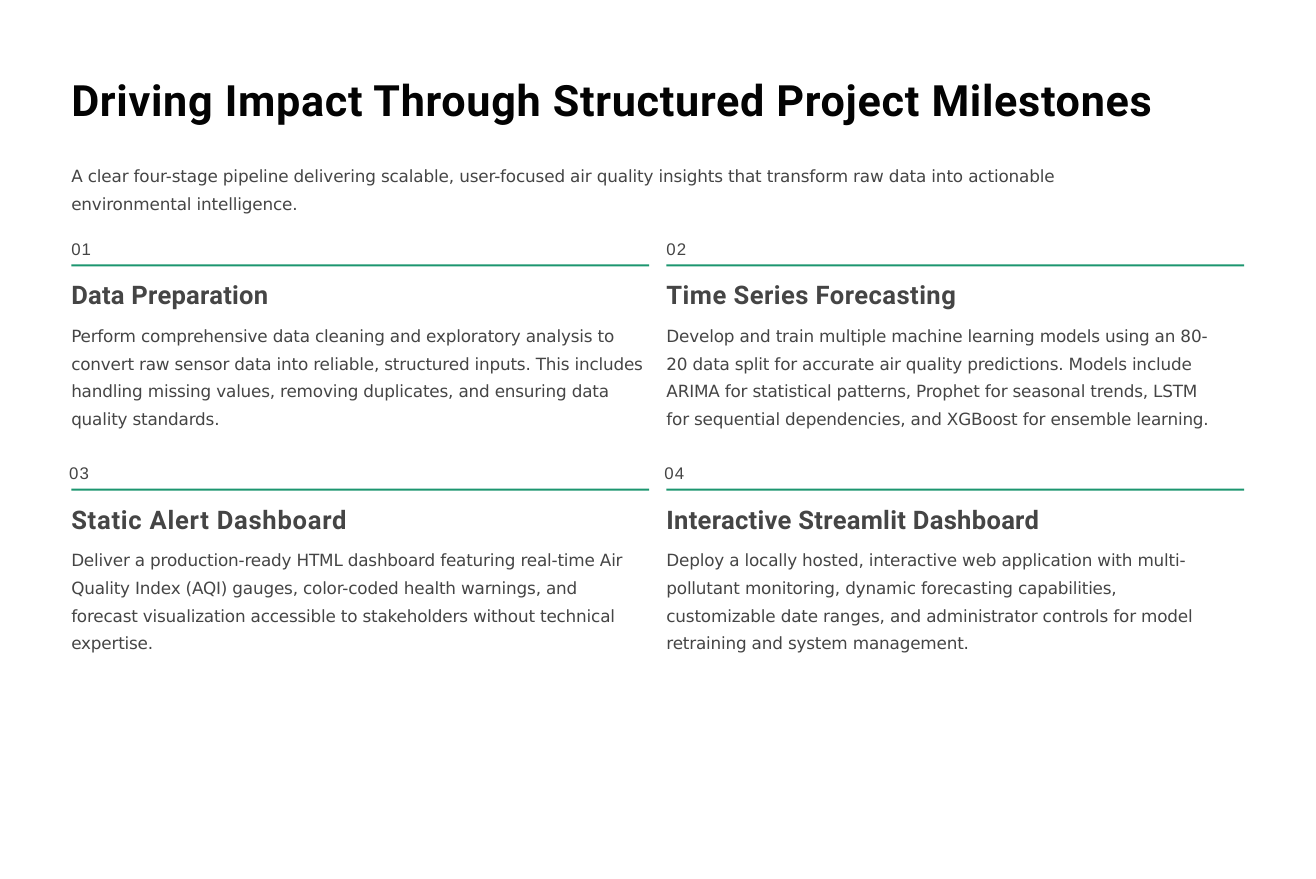
from pptx import Presentation
from pptx.dml.color import RGBColor
from pptx.enum.shapes import MSO_SHAPE
from pptx.util import Cm, Pt

INK, TEXT, GREEN = "030303", "454545", "1C966F"
LEFT, COLUMN_PITCH = 1.72, 14.36
FIRST_RULE, ROW_PITCH, RULE_WIDTH = 6.38, 5.41, 13.94


def color(hex_value):
    return RGBColor.from_string(hex_value)


def add_text(left, top, width, height, paragraphs):
    """Each paragraph: text, font, size, colour, bold, tracking, line spacing, space before."""
    frame = slide.shapes.add_textbox(Cm(left), Cm(top), Cm(width), Cm(height)).text_frame
    frame.word_wrap = True
    frame.margin_left = frame.margin_right = frame.margin_top = frame.margin_bottom = 0
    for i, (text, font, size, ink, bold, tracking, spacing, before) in enumerate(paragraphs):
        paragraph = frame.add_paragraph() if i else frame.paragraphs[0]
        paragraph.text = text
        paragraph.line_spacing = spacing
        paragraph.space_before = Pt(before)
        run = paragraph.runs[0]
        run.font.name, run.font.size, run.font.bold = font, Pt(size), bold
        run.font.color.rgb = color(ink)
        run.font._element.set("spc", str(round(tracking * 100)))


deck = Presentation()
deck.slide_width, deck.slide_height = Cm(31.75), Cm(21.21)
slide = deck.slides.add_slide(deck.slide_layouts[6])

# Title and introduction
add_text(LEFT, 1.77, 27.2, 1.3, [
    ("Driving Impact Through Structured Project Milestones",
     "Roboto", 29.5, INK, True, 0.47, 1.0, 0)])
add_text(LEFT, 3.79, 26, 1.5, [
    ("A clear four-stage pipeline delivering scalable, user-focused air quality insights "
     "that transform raw data into actionable environmental intelligence.",
     "DejaVu Sans", 11.5, TEXT, False, -0.12, 1.41, 0)])

# Milestones: heading, heading tracking, text width, description
milestones = [
    ("Data Preparation", 0.18, 13.94,
     "Perform comprehensive data cleaning and exploratory analysis to convert raw sensor "
     "data into reliable, structured inputs. This includes handling missing values, "
     "removing duplicates, and ensuring data quality standards."),
    ("Time Series Forecasting", 0.3, 13.46,
     "Develop and train multiple machine learning models using an 80-20 data split for "
     "accurate air quality predictions. Models include ARIMA for statistical patterns, "
     "Prophet for seasonal trends, LSTM for sequential dependencies, and XGBoost for "
     "ensemble learning."),
    ("Static Alert Dashboard", 0.5, 13.46,
     "Deliver a production-ready HTML dashboard featuring real-time Air Quality Index (AQI) "
     "gauges, color-coded health warnings, and forecast visualization accessible to "
     "stakeholders without technical expertise."),
    ("Interactive Streamlit Dashboard", 0.2, 13.46,
     "Deploy a locally hosted, interactive web application with multi-pollutant monitoring, "
     "dynamic forecasting capabilities, customizable date ranges, and administrator "
     "controls for model retraining and system management."),
]
for index, (heading, tracking, text_width, description) in enumerate(milestones):
    row, column = divmod(index, 2)
    left = LEFT + column * COLUMN_PITCH
    rule_top = FIRST_RULE + row * ROW_PITCH

    # Number above the rule
    add_text(left - 0.05 * row, rule_top - 0.63, 1, 0.5, [
        (f"{index + 1:02d}", "Arial", 11.5, TEXT, False, 0.7, 1.0, 0)])

    # Green rule
    rule = slide.shapes.add_shape(
        MSO_SHAPE.RECTANGLE, Cm(left), Cm(rule_top), Cm(RULE_WIDTH), Cm(0.05))
    rule.shadow.inherit = False
    rule.fill.solid()
    rule.fill.fore_color.rgb = color(GREEN)
    rule.line.fill.background()

    # Heading and description
    add_text(left, rule_top + 0.36, text_width, 3.6, [
        (heading, "Roboto", 17.5, TEXT, True, tracking, 1.0, 0),
        (description, "DejaVu Sans", 11.5, TEXT, False, -0.15, 1.37, 5.7)])

deck.save("out.pptx")
